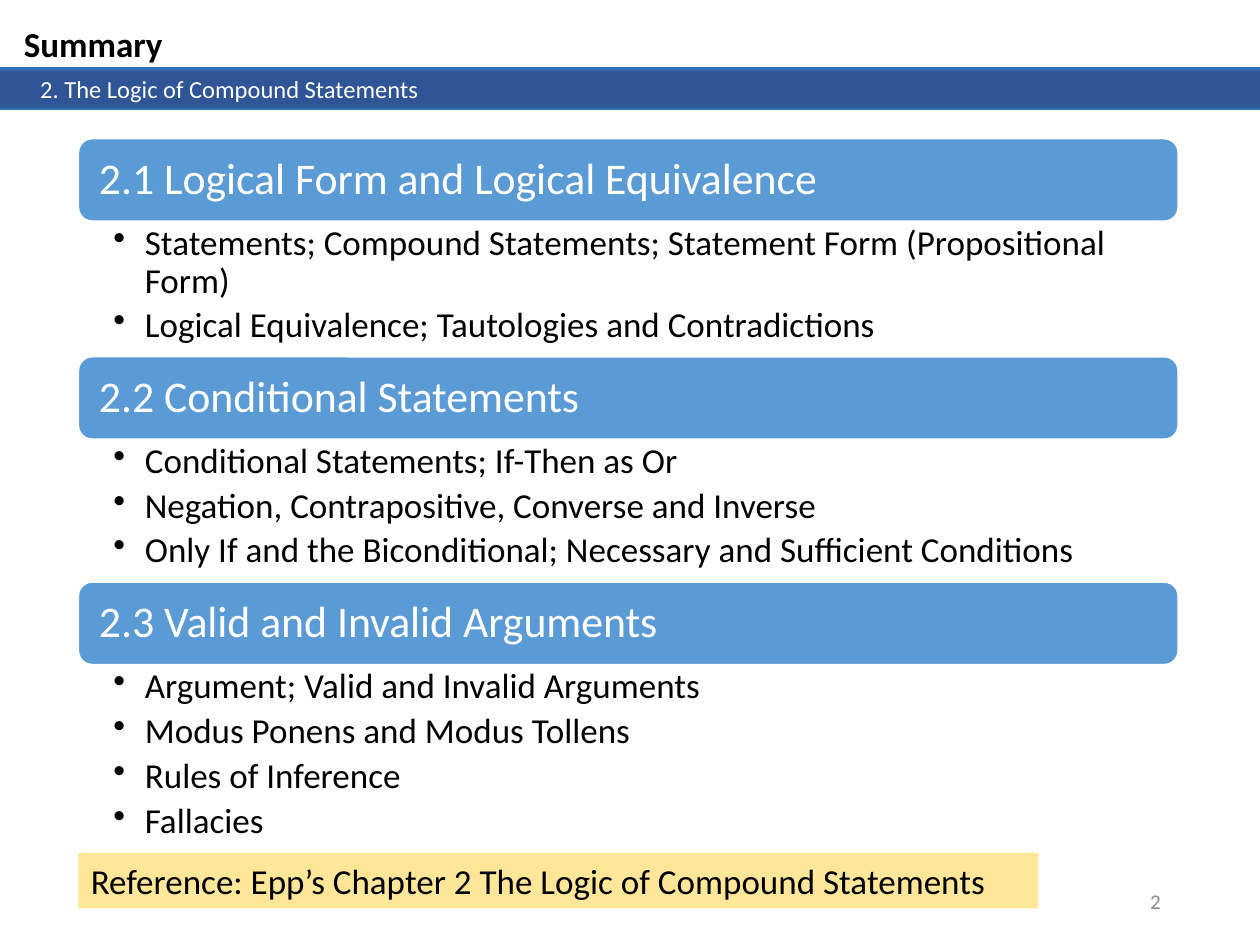
from copy import deepcopy

from lxml import etree
from pptx import Presentation
from pptx import util as u
from pptx.dml.color import RGBColor
from pptx.enum import shapes, text
from pptx.oxml.ns import qn

COLORS = {
    "edge": "2E75B6", "bar": "2F5597", "heading": "5B9BD5", "note": "FFE699",
    "white": "FFFFFF", "black": "000000", "gray": "8C8C8C",
}
SECTIONS = [  # heading, top of heading, bullets
    ("2.1 Logical Form and Logical Equivalence", 79.2, [
        "Statements; Compound Statements; Statement Form (Propositional Form)",
        "Logical Equivalence; Tautologies and Contradictions"]),
    ("2.2 Conditional Statements", 203.8, [
        "Conditional Statements; If-Then as Or",
        "Negation, Contrapositive, Converse and Inverse",
        "Only If and the Biconditional; Necessary and Sufficient Conditions"]),
    ("2.3 Valid and Invalid Arguments", 332.6, [
        "Argument; Valid and Invalid Arguments",
        "Modus Ponens and Modus Tollens",
        "Rules of Inference",
        "Fallacies"]),
]
LEFT, WIDTH, HEAD_H, NOTE_TOP = 44.8, 628.5, 47.2, 487.4


def rgb(name):
    return RGBColor.from_string(COLORS[name])


def write(sp, lines, size=20, color="black", bold=False, align="LEFT",
          anchor="TOP", insets=(7.2, 3.6, 7.2, 3.6), spacing=None, after=0,
          bullet=False):
    """Fill a shape with one paragraph per line."""
    tf = sp.text_frame
    tf.word_wrap = True
    tf.vertical_anchor = text.MSO_ANCHOR[anchor]
    (tf.margin_left, tf.margin_top,
     tf.margin_right, tf.margin_bottom) = map(u.Pt, insets)
    for i, line in enumerate(lines):
        p = tf.add_paragraph() if i else tf.paragraphs[0]
        p.alignment = text.PP_ALIGN[align]
        p.line_spacing = spacing
        p.space_after = u.Pt(after)
        if bullet:
            p.level = 1
            pPr = p._p.get_or_add_pPr()
            pPr.set("marL", str(u.Pt(18)))
            pPr.set("indent", str(-u.Pt(18)))
            etree.SubElement(pPr, qn("a:buChar")).set("char", "•")
        r = p.add_run()
        r.text = line
        r.font.name = "Calibri"
        r.font.size = u.Pt(size)
        r.font.bold = bold
        r.font.color.rgb = rgb(color)


class Deck:
    def __init__(self):
        self.prs = Presentation()
        self.prs.slide_width, self.prs.slide_height = u.Pt(720), u.Pt(540)
        self.s = self.prs.slides.add_slide(self.prs.slide_layouts[6])

    def box(self, kind, x, y, w, h, fill=None, line=None):
        sp = self.s.shapes.add_shape(shapes.MSO_SHAPE[kind], *map(u.Pt, (x, y, w, h)))
        sp.shadow.inherit = False
        if fill:
            sp.fill.solid()
            sp.fill.fore_color.rgb = rgb(fill)
        if line:
            sp.line.color.rgb = rgb(line)
            sp.line.width = u.Pt(1)
        else:
            sp.line.fill.background()
        return sp

    def gradient_bar(self, y, h):
        sp = self.box("RECTANGLE", 0, y, 720, h)
        sp.fill.gradient()
        sp.fill.gradient_angle = 270
        stops = sp._element.spPr.find(qn("a:gradFill")).find(qn("a:gsLst"))
        for stop in list(stops):
            stops.append(deepcopy(stop))
        ramp = [(0, "edge"), (0.11, "bar"), (0.91, "bar"), (1, "edge")]
        for stop, (position, color) in zip(sp.fill.gradient_stops, ramp):
            stop.position = position
            stop.color.rgb = rgb(color)
        return sp

    def label(self, lines, x, y, w, h, **fmt):
        sp = self.s.shapes.add_textbox(*map(u.Pt, (x, y, w, h)))
        write(sp, lines, **fmt)

    def section(self, heading, top, bullets, bottom):
        sp = self.box("ROUNDED_RECTANGLE", LEFT, top, WIDTH, HEAD_H, "heading", "white")
        write(sp, [heading], size=25, color="white", anchor="MIDDLE",
              insets=(9.5, 7.2, 9.5, 7.2), spacing=0.9)
        body = top + HEAD_H
        self.label(bullets, LEFT, body, WIDTH, bottom - body, spacing=0.9,
                   after=4, bullet=True, insets=(20, 2.2, 13.7, 2.2))


def main():
    d = Deck()

    # Title band
    d.gradient_bar(38.2, 21.6)
    band = d.gradient_bar(38.9, 23.8)
    write(band, ["2. The Logic of Compound Statements"], size=14, color="white",
          insets=(23, 3.6, 7.2, 3.6))
    d.label(["Summary"], 6.5, 9.4, 193.7, 31.7, bold=True)

    # Sections, each reaching down to the next
    bottoms = [top for _, top, _ in SECTIONS[1:]] + [NOTE_TOP]
    for (heading, top, bullets), bottom in zip(SECTIONS, bottoms):
        d.section(heading, top, bullets, bottom)

    # Reference and page number
    note = d.box("RECTANGLE", LEFT, NOTE_TOP, 548.6, 31.7, "note")
    write(note, ["Reference: Epp’s Chapter 2 The Logic of Compound Statements"])
    d.label(["2"], 508.3, 500.4, 162, 28.8, size=12, color="gray",
            align="RIGHT", anchor="MIDDLE")

    d.prs.save("out.pptx")


if __name__ == "__main__":
    main()
